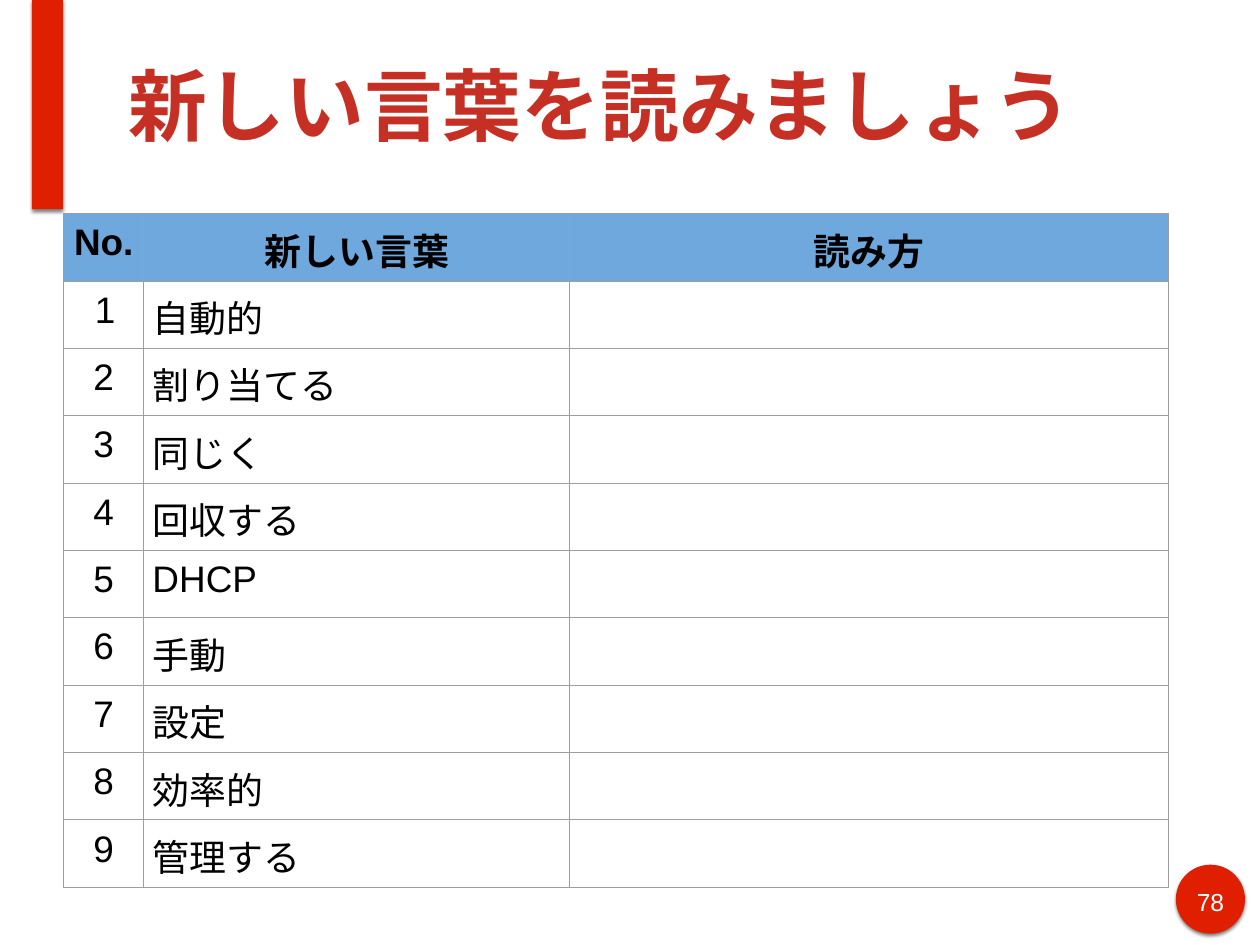
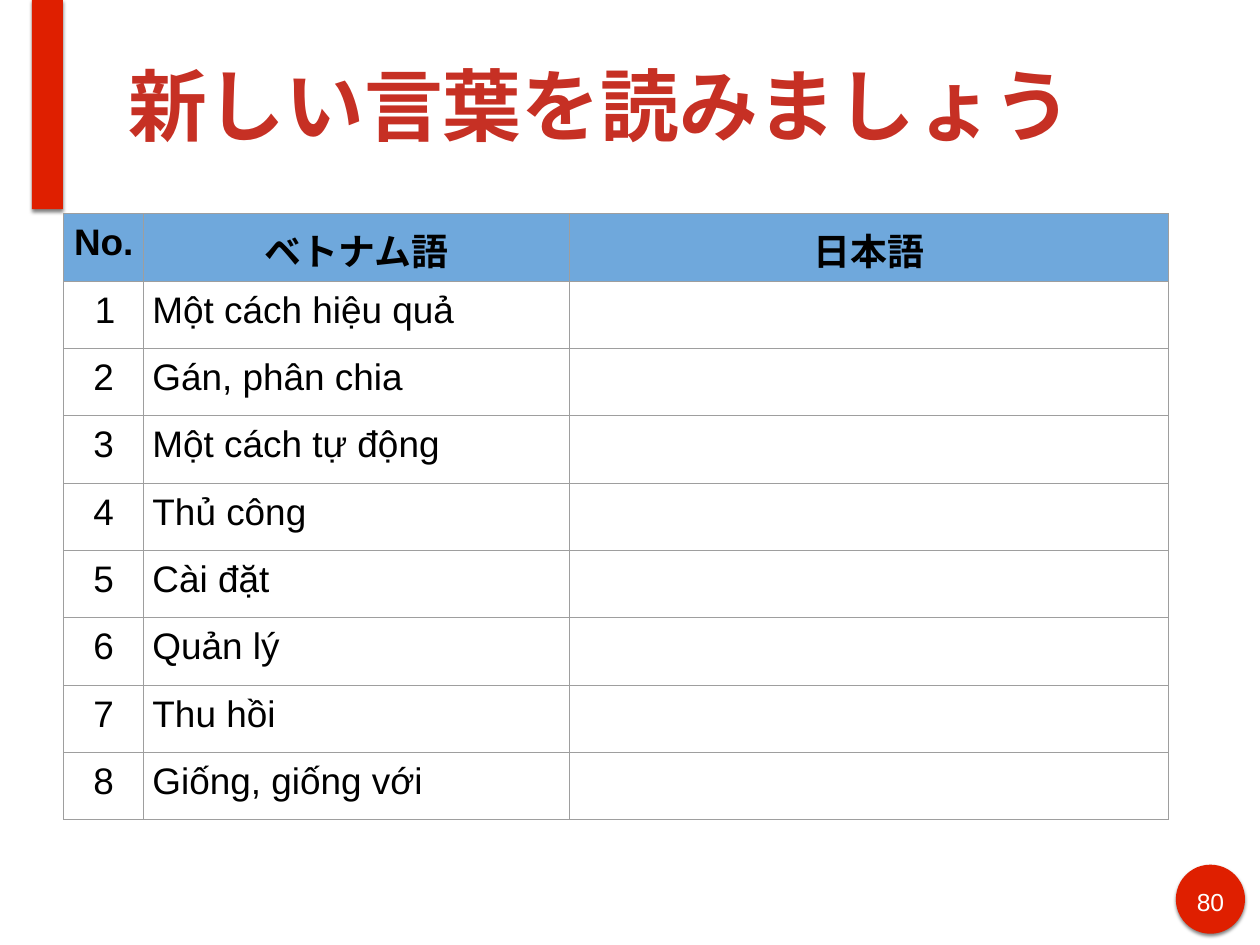
from pptx import Presentation
from pptx.dml.color import RGBColor
from pptx.enum.lang import MSO_LANGUAGE_ID as LANG
from pptx.enum.shapes import MSO_SHAPE as SHAPE
from pptx.enum.text import MSO_ANCHOR as ANCHOR, MSO_AUTO_SIZE as AUTOSIZE, PP_ALIGN as ALIGN
from pptx.oxml import parse_xml
from pptx.oxml.ns import nsdecls
from pptx.util import Inches, Pt

# Shared look
WIDTH, HEIGHT = Inches(14.22), Inches(10.67)
FONT = "Arial"
COLORS = {
    "accent": "DF1F00",
    "title": "C63024",
    "header": "6FA8DC",
    "border": "9E9E9E",
    "text": "000000",
    "white": "FFFFFF",
    "shadow": "000000",
}

# Places as percentages of the slide: left, top, width, height
BAND = (2.53, 0, 2.46, 22.12)
BADGE = (93.32, 91.5, 5.49, 7.31)
NUMBER = (94.35, 93.25, 3.45, 3.66)
TITLE = (9.74, 1.07, 85.37, 19.87)
TABLE_LEFT, TABLE_TOP = 5.07, 22.6
COLUMNS = (6.33, 33.83, 47.47)
ROW = 7.13

# Content
HEADING = "新しい言葉を読みましょう"
WORD_LISTS = [
    (78, ["No.", "新しい言葉", "読み方"], LANG.JAPANESE,
     ["自動的", "割り当てる", "同じく", "回収する", "DHCP",
      "手動", "設定", "効率的", "管理する"]),
    (80, ["No.", "ベトナム語", "日本語"], LANG.VIETNAMESE,
     ["Một cách hiệu quả", "Gán, phân chia", "Một cách tự động", "Thủ công",
      "Cài đặt", "Quản lý", "Thu hồi", "Giống, giống với"]),
]


def color(name):
    return RGBColor.from_string(COLORS[name])


def share_x(percent):
    return round(WIDTH * percent / 100)


def share_y(percent):
    return round(HEIGHT * percent / 100)


def area(place):
    left, top, width, height = place
    return share_x(left), share_y(top), share_x(width), share_y(height)


def write(tf, text, size, color_name, align=ALIGN.LEFT, bold=False, lang=LANG.JAPANESE):
    tf.text = text
    p = tf.paragraphs[0]
    p.alignment = align
    for r in p.runs:
        r.font.name, r.font.size, r.font.bold = FONT, Pt(size), bold
        r.font.color.rgb = color(color_name)
        r.font.language_id = lang
    return p


def set_insets(holder, inches):
    holder.margin_left = holder.margin_right = Inches(inches)
    holder.margin_top = holder.margin_bottom = Inches(inches)


# Accent shapes, page number and title
def add_accent(slide, kind, place):
    sp = slide.shapes.add_shape(kind, *area(place))
    sp.fill.solid()
    sp.fill.fore_color.rgb = color("accent")
    sp.line.fill.background()
    sp._element.spPr.append(parse_xml(
        f'<a:effectLst {nsdecls("a")}><a:outerShdw blurRad="{Pt(3)}" dist="{Pt(2)}" '
        f'dir="5400000" rotWithShape="0"><a:srgbClr val="{COLORS["shadow"]}">'
        '<a:alpha val="50000"/></a:srgbClr></a:outerShdw></a:effectLst>'))


def add_number(slide, number):
    tf = slide.shapes.add_textbox(*area(NUMBER)).text_frame
    tf.word_wrap = True
    set_insets(tf, 0.06)
    write(tf, str(number), 20, "white", ALIGN.CENTER)


def format_title(slide, text):
    sp = slide.shapes.title
    sp.left, sp.top, sp.width, sp.height = area(TITLE)
    tf = sp.text_frame
    tf.word_wrap, tf.auto_size = True, AUTOSIZE.NONE
    tf.vertical_anchor = ANCHOR.MIDDLE
    set_insets(tf, 0.06)
    p = write(tf, text, 64, "title", bold=True)
    # The title names its East Asian font; table text keeps the theme's
    p.runs[0].font._element.append(
        parse_xml(f'<a:ea {nsdecls("a")} typeface="{FONT}"/>'))


# Vocabulary table
def set_borders(cell):
    tcPr = cell._tc.get_or_add_tcPr()
    for side in ("L", "R", "T", "B"):
        tcPr.append(parse_xml(
            f'<a:ln{side} {nsdecls("a")} w="{Pt(0.75)}"><a:solidFill>'
            f'<a:srgbClr val="{COLORS["border"]}"/></a:solidFill></a:ln{side}>'))


def indent_first_number(cell):
    p = cell.text_frame.paragraphs[0]
    p.alignment = ALIGN.LEFT
    pPr = p._p.get_or_add_pPr()
    pPr.set("marL", str(Inches(0.5)))
    pPr.set("indent", str(Inches(-0.25)))


def add_word_table(slide, headers, words, lang):
    rows = [headers] + [[str(n), word, ""] for n, word in enumerate(words, 1)]
    place = (TABLE_LEFT, TABLE_TOP, sum(COLUMNS), ROW * len(rows))
    table = slide.shapes.add_table(len(rows), len(COLUMNS), *area(place)).table
    table.first_row = table.horz_banding = False
    for column, width in zip(table.columns, COLUMNS):
        column.width = share_x(width)
    for i, row in enumerate(rows):
        table.rows[i].height = share_y(ROW)
        is_header = i == 0
        for j, text in enumerate(row):
            cell = table.cell(i, j)
            set_insets(cell, 0.1)
            set_borders(cell)
            if is_header:
                cell.fill.solid()
                cell.fill.fore_color.rgb = color("header")
            else:
                cell.fill.background()
            align = ALIGN.CENTER if is_header or j == 0 else ALIGN.LEFT
            write(cell.text_frame, text, 30, "text", align, is_header,
                  LANG.JAPANESE if is_header else lang)
    indent_first_number(table.cell(1, 0))


def main():
    prs = Presentation()
    prs.slide_width, prs.slide_height = WIDTH, HEIGHT
    for number, headers, lang, words in WORD_LISTS:
        slide = prs.slides.add_slide(prs.slide_layouts.get_by_name("Title Only"))
        add_accent(slide, SHAPE.OVAL, BADGE)
        add_accent(slide, SHAPE.RECTANGLE, BAND)
        add_number(slide, number)
        format_title(slide, HEADING)
        add_word_table(slide, headers, words, lang)
    prs.save("out.pptx")


if __name__ == "__main__":
    main()
